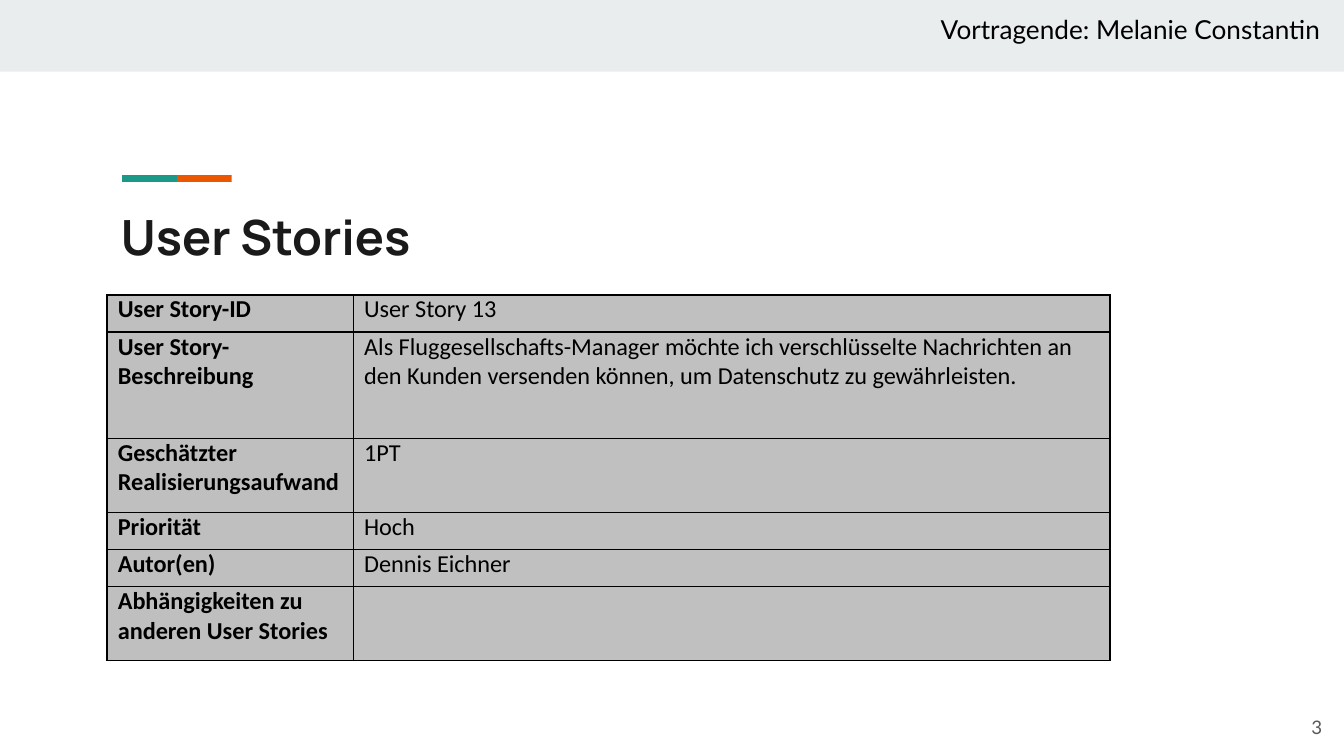
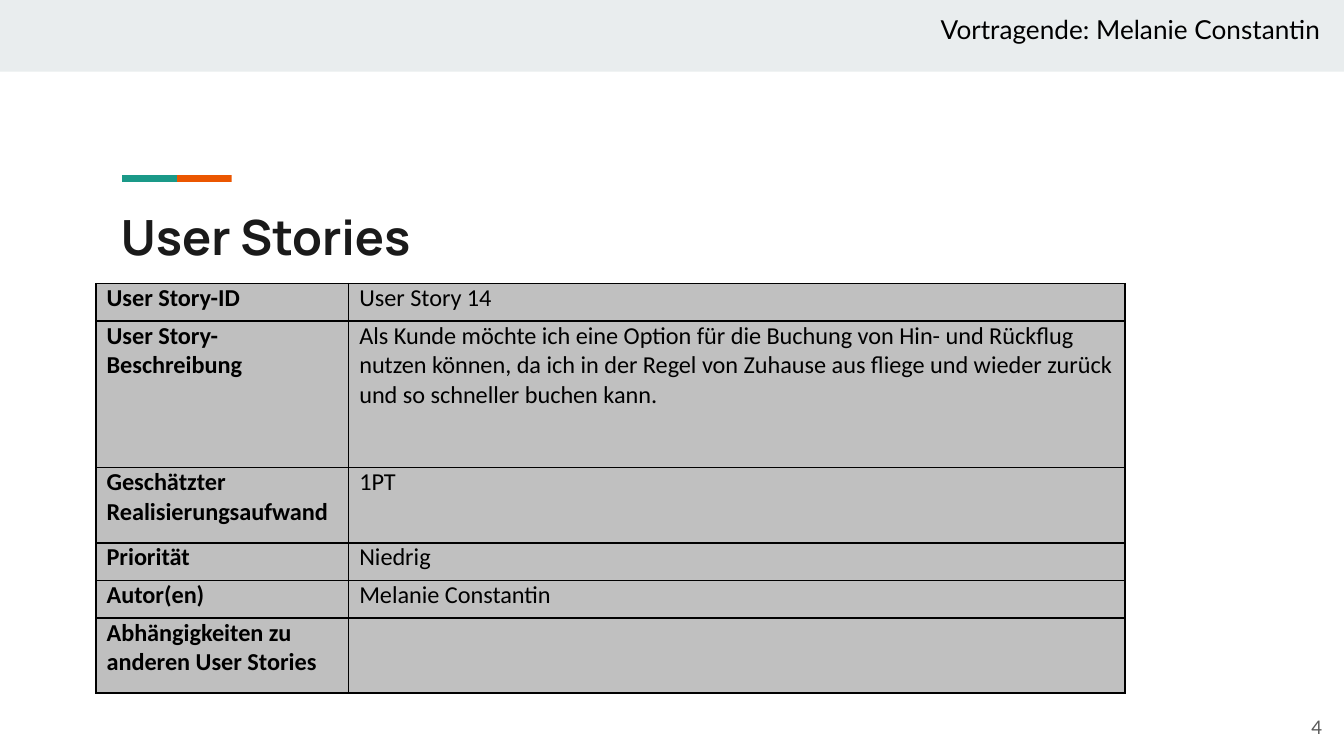
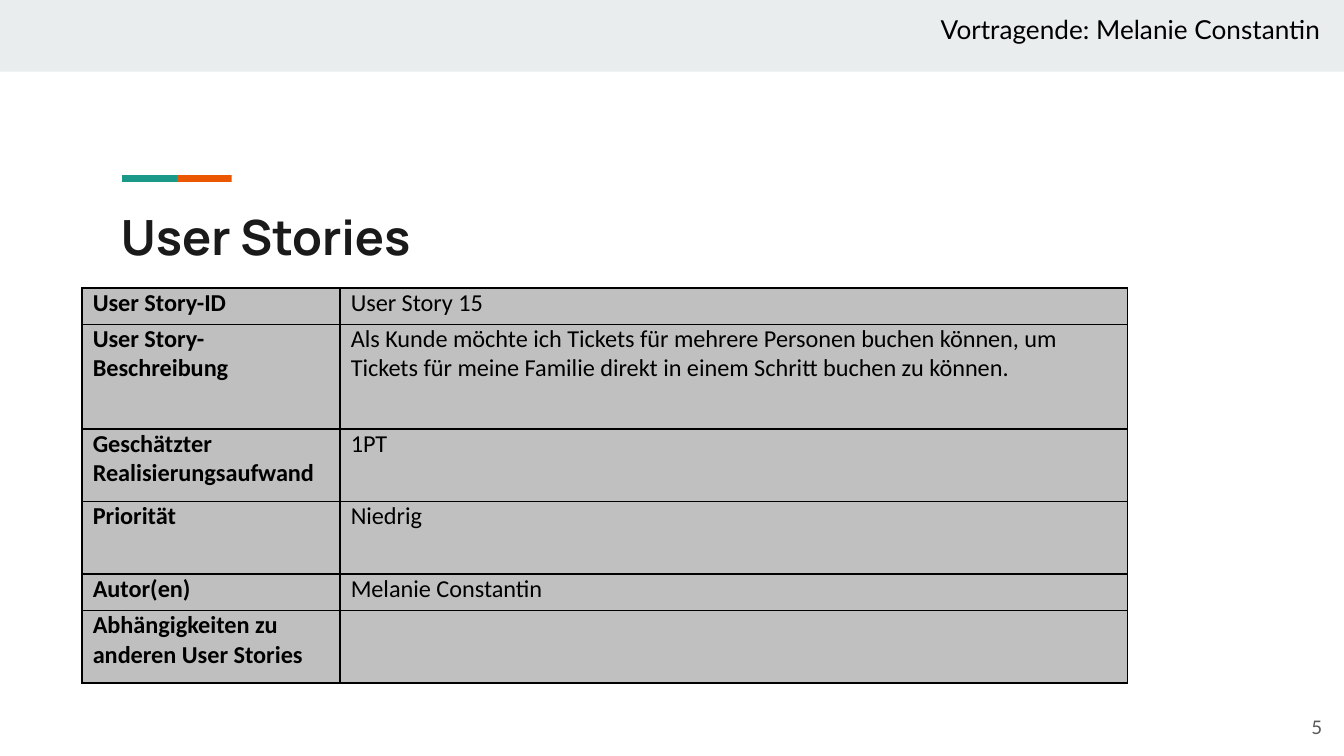
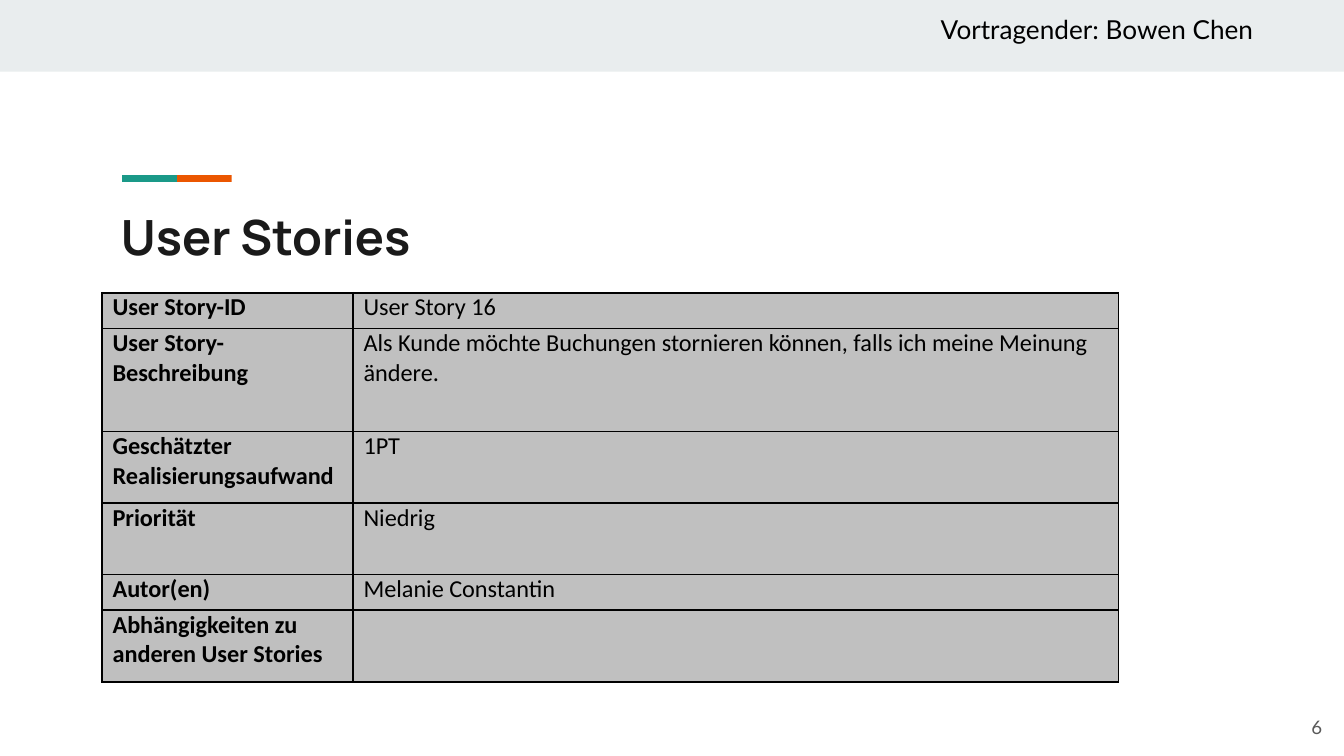
from lxml import etree
from pptx import Presentation
from pptx import util as u
from pptx.dml import color
from pptx.enum import shapes, text
from pptx.oxml import ns

INK, GREY, DARK = "000000", "595959", "1A1A1A"
TEAL, RUST, MIST = "1A9988", "EB5600", "E9EDEE"
HEAD, BODY = "BFBFBF", "C0C0C0"
TITLE = {"name": "Manrope", "size": u.Pt(26), "bold": True}
NOTE = {"name": "Lato", "size": u.Pt(14)}
PAGE = {"name": "Lato", "size": u.Pt(10)}
CELL = {"name": "Calibri", "size": u.Pt(13)}
EDGE = u.Pt(7.2)
FRAME = {
    "margin_left": EDGE, "margin_right": EDGE, "margin_top": EDGE,
    "margin_bottom": EDGE, "word_wrap": True,
    "auto_size": text.MSO_AUTO_SIZE.NONE,
    "vertical_anchor": text.MSO_ANCHOR.TOP,
}
PAD = {"margin_left": u.Pt(5.75), "margin_right": u.Pt(5.75),
       "margin_top": 0, "margin_bottom": 0}
LABELS = ["User Story-ID", "User Story-Beschreibung",
          "Geschätzter Realisierungsaufwand", "Priorität", "Autor(en)",
          "Abhängigkeiten zu anderen User Stories"]
MELANIE = "Melanie Constantin"
HOST = "Vortragende: " + MELANIE
STORIES = [
    {"host": HOST, "at": (57.4, 158), "cols": (132, 405.4),
     "line": 19.85, "tall": 57, "rank": 1,
     "vals": ["User Story 13",
              "Als Fluggesellschafts-Manager möchte ich verschlüsselte "
              "Nachrichten an den Kunden versenden können, um Datenschutz "
              "zu gewährleisten.", "1PT", "Hoch", "Dennis Eichner", ""]},
    {"host": HOST, "at": (51.4, 151.95), "cols": (135.4, 416),
     "line": 20.15, "tall": 78.5, "rank": 1,
     "vals": ["User Story 14",
              "Als Kunde möchte ich eine Option für die Buchung von Hin- und "
              "Rückflug nutzen können, da ich in der Regel von Zuhause aus "
              "fliege und wieder zurück und so schneller buchen kann.",
              "1PT", "Niedrig", MELANIE, ""]},
    {"host": HOST, "at": (44, 154.3), "cols": (138.2, 421.8),
     "line": 19.45, "tall": 56.1, "rank": 2,
     "vals": ["User Story 15",
              "Als Kunde möchte ich Tickets für mehrere Personen buchen "
              "können, um Tickets für meine Familie direkt in einem Schritt "
              "buchen zu können.", "1PT", "Niedrig", MELANIE, ""]},
    {"host": "Vortragender: Bowen Chen", "at": (54.6, 156.8),
     "cols": (134.5, 410.2), "line": 19.15, "tall": 55.3, "rank": 2,
     "vals": ["User Story 16",
              "Als Kunde möchte Buchungen stornieren können, falls ich meine "
              "Meinung ändere.", "1PT", "Niedrig", MELANIE, ""]},
]


def tint(code):
    """Turn a hex string into a colour."""
    return color.RGBColor.from_string(code)


def apply(item, form):
    """Set each attribute named in a dict."""
    for key, val in form.items():
        setattr(item, key, val)


def place(item, box):
    """Move and size a shape in points."""
    apply(item, dict(zip(("left", "top", "width", "height"), map(u.Pt, box))))


def write(frame, words, font, ink, align=text.PP_ALIGN.LEFT):
    """Write one formatted paragraph and return it."""
    para = frame.paragraphs[0]
    para.alignment = align
    if words:
        run = para.add_run()
        run.text = words
        apply(run.font, font)
        run.font.color.rgb = tint(ink)
    return para


def add_bar(home, box, fill):
    """Draw a plain filled bar on a slide or in a group."""
    bar = home.shapes.add_shape(shapes.MSO_SHAPE.RECTANGLE, *map(u.Pt, box))
    bar.shadow.inherit = False
    bar.fill.solid()
    bar.fill.fore_color.rgb = tint(fill)
    bar.line.fill.background()
    return bar


def add_accent(slide):
    """Draw the two-coloured rule as a scaled group of turned bars."""
    thick, long, base = 1.98, 41.91, 100
    group = slide.shapes.add_group_shape()
    for rank, fill in ((1, RUST), (0, TEAL)):
        mid = base + (rank + 0.5) * long
        box = (mid - thick / 2, base + (thick - long) / 2, thick, long)
        add_bar(group, box, fill).rotation = 270
    place(group, (65.4, 93.8, 58.72, 3.61))
    start = group.element.xpath("./p:grpSpPr/a:xfrm/a:chOff")[0]
    size = group.element.xpath("./p:grpSpPr/a:xfrm/a:chExt")[0]
    apply(start, {"x": u.Pt(base), "y": u.Pt(base)})
    apply(size, {"cx": u.Pt(2 * long), "cy": u.Pt(thick)})
    return group


def add_note(slide, box, words, font, ink, **form):
    """Add a text box with one line of text."""
    note = slide.shapes.add_textbox(*map(u.Pt, box))
    apply(note.text_frame, FRAME | form)
    return write(note.text_frame, words, font, ink)


def add_title(slide, words):
    """Fill the title placeholder."""
    title = slide.shapes.title
    apply(title.text_frame, FRAME)
    write(title.text_frame, words, TITLE, DARK)


def set_edges(cell):
    """Give a cell thin black borders."""
    props = cell._tc.get_or_add_tcPr()
    for spot, side in enumerate(("lnL", "lnR", "lnT", "lnB")):
        line = etree.Element(ns.qn("a:" + side), w=str(u.Pt(1)))
        fill = etree.SubElement(line, ns.qn("a:solidFill"))
        etree.SubElement(fill, ns.qn("a:srgbClr"), val=INK)
        props.insert(spot, line)


def set_cell(cell, words, fill, bold):
    """Fill, frame and write one table cell."""
    apply(cell, PAD)
    cell.fill.solid()
    cell.fill.fore_color.rgb = tint(fill)
    set_edges(cell)
    return write(cell.text_frame, words, CELL | {"bold": bold}, INK)


def add_story(slide, story):
    """Add the table of one user story."""
    line, cols = story["line"], story["cols"]
    rows = [line, story["tall"], 2 * line, story["rank"] * line, line, 2 * line]
    box = (*story["at"], sum(cols), sum(rows))
    grid = slide.shapes.add_table(len(rows), 2, *map(u.Pt, box)).table
    apply(grid, {"first_row": False, "horz_banding": False})
    for col, width in zip(grid.columns, cols):
        col.width = u.Pt(width)
    for row, high, label, val in zip(grid.rows, rows, LABELS, story["vals"]):
        row.height = u.Pt(high)
        set_cell(row.cells[0], label, HEAD, True)
        para = set_cell(row.cells[1], val, BODY, False)
        if label == LABELS[1]:
            para.space_before = u.Pt(12)


def set_layout(layout, slide):
    """Put the band, accent and title place on the layout."""
    for spot in list(layout.placeholders):
        if spot.placeholder_format.idx == 0:
            place(spot, (57.6, 103.7, 605.5, 42.5))
        else:
            layout.shapes.element.remove(spot.element)
    parts = [add_bar(slide, (0, 0, 720, 38.4), MIST), add_accent(slide)]
    for spot, part in enumerate(parts, 2):
        layout.shapes.element.insert(spot, part.element)


def main():
    """Build and save the slides."""
    deck = Presentation()
    apply(deck, {"slide_width": u.Pt(720), "slide_height": u.Pt(405)})
    layout = deck.slide_layouts[5]
    for page, story in enumerate(STORIES, 3):
        slide = deck.slides.add_slide(layout)
        if page == 3:
            set_layout(layout, slide)
        add_title(slide, "User Stories")
        add_note(slide, (496.9, 0, 223.1, 38.9), story["host"], NOTE, INK)
        mark = add_note(slide, (672.2, 374, 43.2, 31), str(page), PAGE, GREY,
                        vertical_anchor=text.MSO_ANCHOR.MIDDLE)
        mark.alignment = text.PP_ALIGN.RIGHT
        add_story(slide, story)
    deck.save("out.pptx")


if __name__ == "__main__":
    main()
